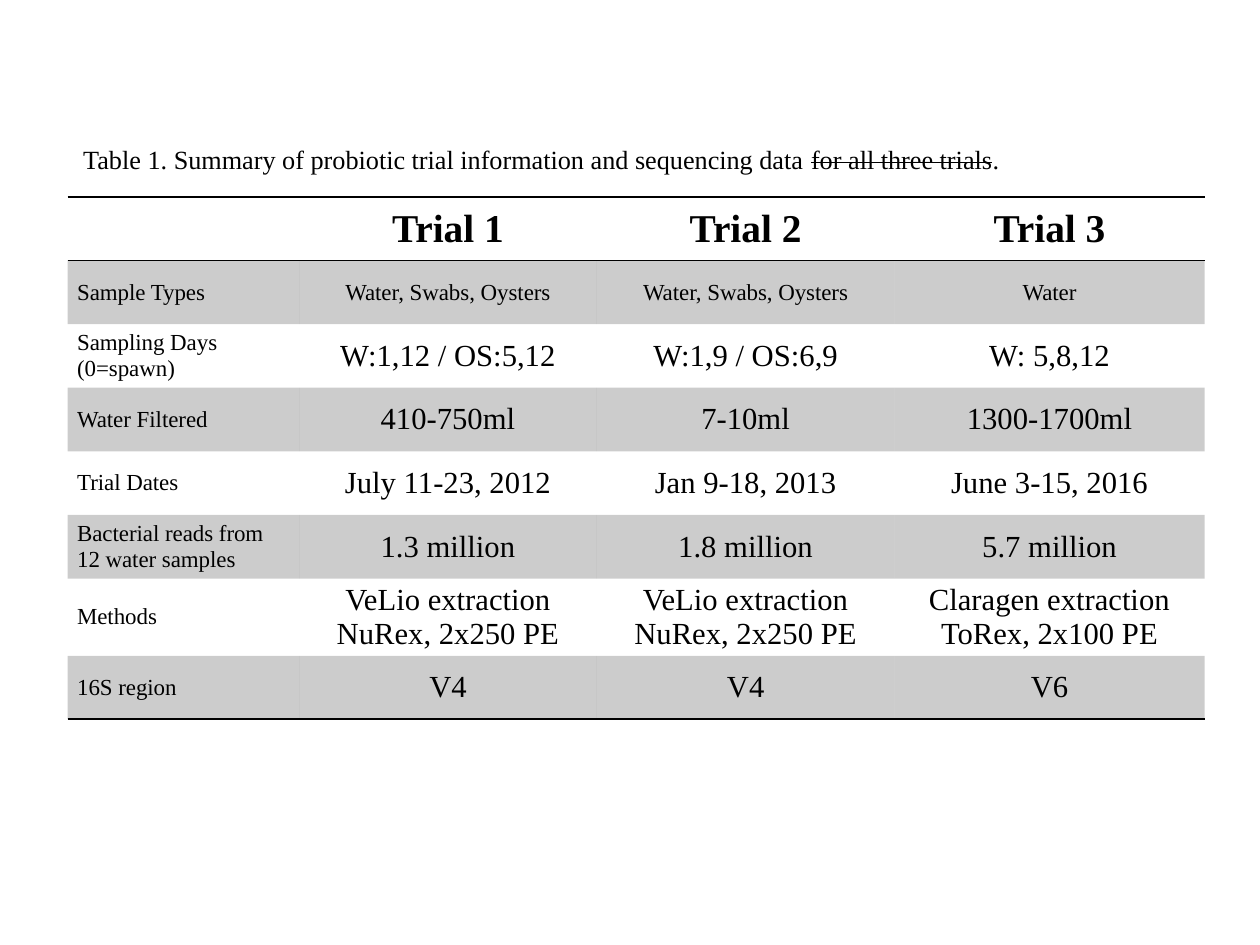
from lxml.etree import SubElement
from pptx import Presentation
from pptx.dml.color import RGBColor
from pptx.enum.text import MSO_ANCHOR, MSO_AUTO_SIZE, PP_ALIGN
from pptx.oxml.ns import qn
from pptx.util import Inches, Pt

SLIDE_WIDTH, SLIDE_HEIGHT = Inches(8), Inches(6)
GRID_COLUMNS, GRID_ROWS = 800, 600
FONT = "Times New Roman"
BLACK = "000000"
NO_GRID_STYLE = "{2D5ABB26-0587-4C30-8999-92F81FD0307C}"
LABEL_SIZE, VALUE_SIZE, HEADING_SIZE, CAPTION_SIZE = 10.5, 14, 18, 12
LEFT = 43
COLUMN_WIDTHS = [147, 189, 189, 197]
ROW_HEIGHTS = [40.4] * 6 + [49, 40.4]

CAPTION = [
    ("Table 1. Summary of probiotic trial information and sequencing data ", False),
    ("for all three trials", True),
    (".", False),
]
TRIALS = [
    ["", "Trial 1", "Trial 2", "Trial 3"],
    ["Sample Types", "Water, Swabs, Oysters", "Water, Swabs, Oysters", "Water"],
    ["Sampling Days\n(0=spawn)", "W:1,12 / OS:5,12", "W:1,9 / OS:6,9", "W: 5,8,12"],
    ["Water Filtered", "410-750ml", "7-10ml", "1300-1700ml"],
    ["Trial Dates", "July 11-23, 2012", "Jan 9-18, 2013", "June 3-15, 2016"],
    ["Bacterial reads from 12 water samples", "1.3 million", "1.8 million", "5.7 million"],
    ["Methods", "VeLio extraction\nNuRex, 2x250 PE", "VeLio extraction\nNuRex, 2x250 PE",
     "Claragen extraction\nToRex, 2x100 PE"],
    ["16S region", "V4", "V4", "V6"],
]


def across(columns):
    """Return the width of a number of grid columns."""
    return round(SLIDE_WIDTH * columns / GRID_COLUMNS)


def down(rows):
    """Return the height of a number of grid rows."""
    return round(SLIDE_HEIGHT * rows / GRID_ROWS)


def color(hex_value):
    """Turn a hex string into a colour."""
    return RGBColor.from_string(hex_value)


def add_run(paragraph, text, size, bold=False, struck=False):
    """Add one formatted run to a paragraph."""
    run = paragraph.add_run()
    run.text = text
    run.font.name = FONT
    run.font.size = Pt(size)
    run.font.bold = bold
    run.font.color.rgb = color(BLACK)
    if struck:
        run.font._element.set("strike", "sngStrike")


def add_rule(cell, side):
    """Draw a black line of one point on one side of a cell."""
    rule = SubElement(cell._tc.get_or_add_tcPr(), qn(f"a:ln{side}"), w=str(Pt(1)))
    SubElement(SubElement(rule, qn("a:solidFill")), qn("a:srgbClr"), val=BLACK)


def shade(cell):
    """Fill a cell with black at twenty percent opacity."""
    cell.fill.solid()
    cell.fill.fore_color.rgb = color(BLACK)
    tint = cell._tc.tcPr.find(f"{qn('a:solidFill')}/{qn('a:srgbClr')}")
    SubElement(tint, qn("a:alpha"), val="20000")


def write_cell(cell, text, size, bold, alignment):
    """Write each line of text as a paragraph of a cell."""
    cell.vertical_anchor = MSO_ANCHOR.MIDDLE
    cell.margin_left = cell.margin_right = Inches(0.06)
    cell.margin_top = cell.margin_bottom = Inches(0.03)
    for number, line in enumerate(text.splitlines()):
        frame = cell.text_frame
        paragraph = frame.add_paragraph() if number else frame.paragraphs[0]
        paragraph.alignment = alignment
        add_run(paragraph, line, size, bold)


def text_size(row, column):
    """Choose the text size for a place in the table."""
    if row == 0:
        return HEADING_SIZE
    return LABEL_SIZE if column == 0 or row == 1 else VALUE_SIZE


def add_trials(slide):
    """Add the table that compares the trials."""
    trials = slide.shapes.add_table(
        len(TRIALS), len(COLUMN_WIDTHS), across(LEFT), down(125),
        across(sum(COLUMN_WIDTHS)), down(sum(ROW_HEIGHTS))).table
    trials.first_row = trials.horz_banding = False
    trials._tbl.tblPr.find(qn("a:tableStyleId")).text = NO_GRID_STYLE
    for column, width in zip(trials.columns, COLUMN_WIDTHS):
        column.width = across(width)
    for row, height in zip(trials.rows, ROW_HEIGHTS):
        row.height = down(height)
    last = len(TRIALS) - 1
    for row, entries in enumerate(TRIALS):
        for column, entry in enumerate(entries):
            cell = trials.cell(row, column)
            alignment = PP_ALIGN.CENTER if column else PP_ALIGN.LEFT
            write_cell(cell, entry, text_size(row, column), row == 0, alignment)
            for side in {0: "TB", last: "B"}.get(row, ""):
                add_rule(cell, side)
            if row % 2:
                shade(cell)
            else:
                cell.fill.background()


def add_caption(slide):
    """Add the caption above the table."""
    caption = slide.shapes.add_textbox(
        across(LEFT), down(86), across(675), down(30)).text_frame
    caption.word_wrap = True
    caption.auto_size = MSO_AUTO_SIZE.SHAPE_TO_FIT_TEXT
    for text, struck in CAPTION:
        add_run(caption.paragraphs[0], text, CAPTION_SIZE, struck=struck)


def main():
    """Build and save the slide."""
    presentation = Presentation()
    presentation.slide_width, presentation.slide_height = SLIDE_WIDTH, SLIDE_HEIGHT
    slide = presentation.slides.add_slide(presentation.slide_layouts[6])
    add_trials(slide)
    add_caption(slide)
    presentation.save("out.pptx")


if __name__ == "__main__":
    main()
